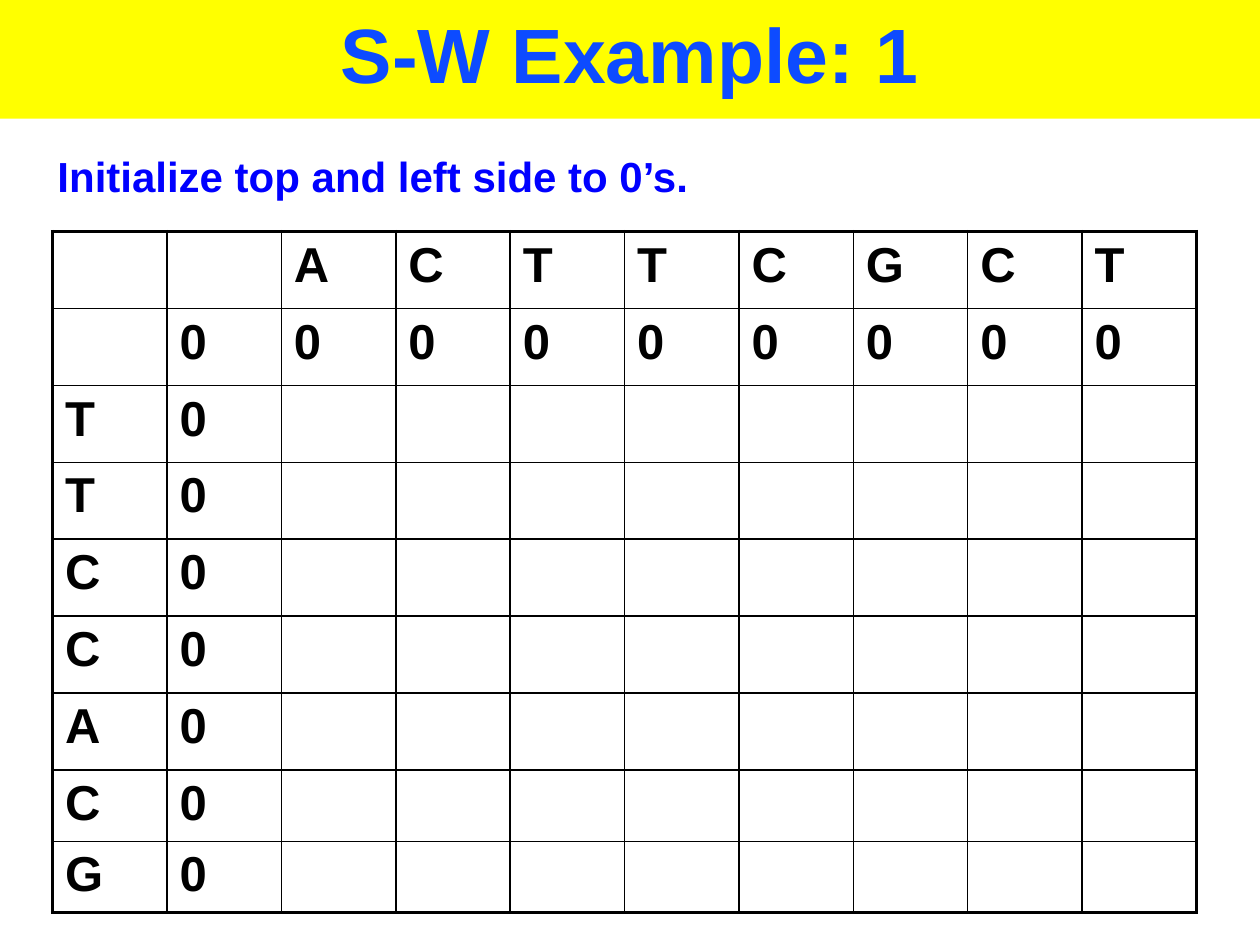
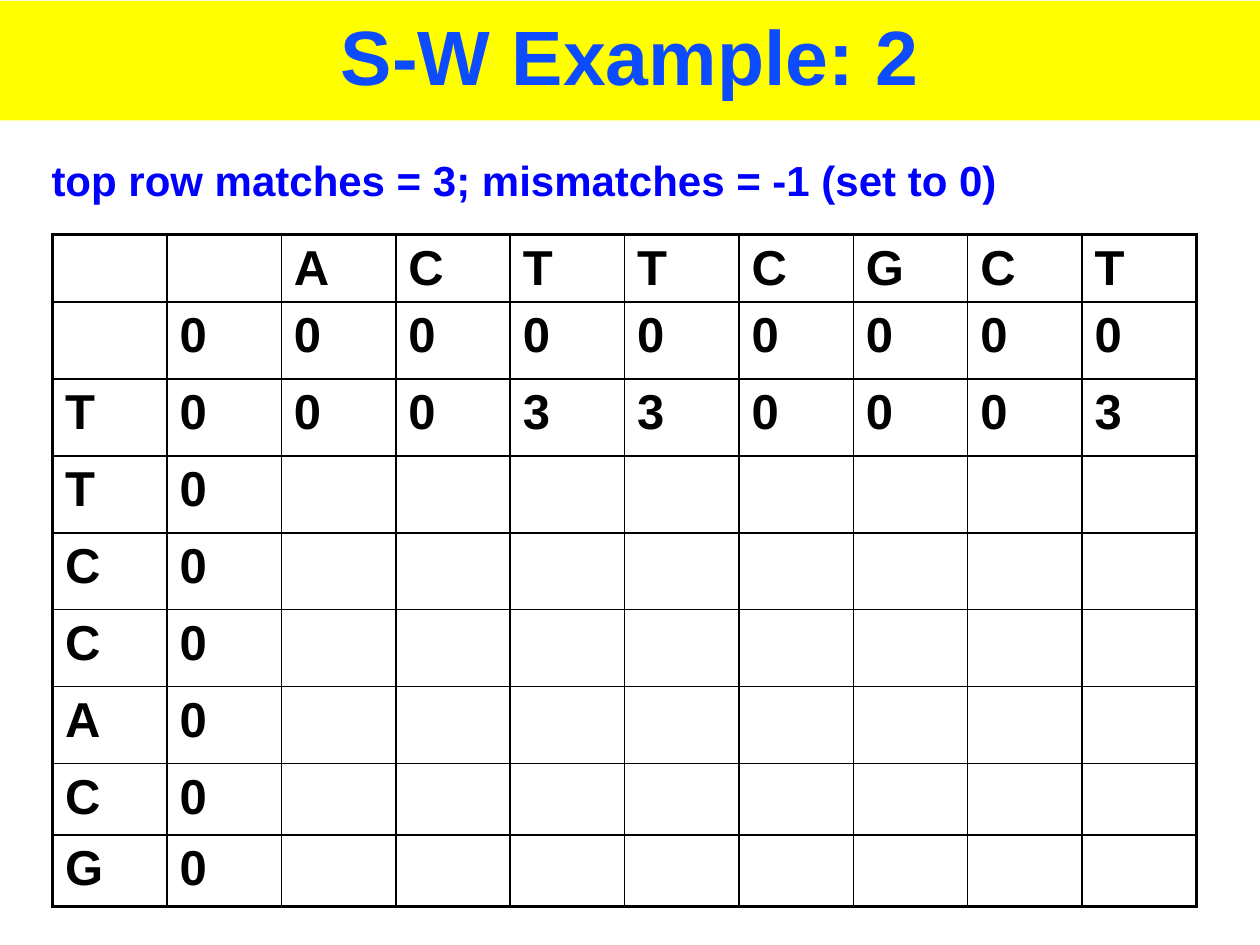
from lxml.etree import SubElement
from pptx import Presentation
from pptx.dml.color import RGBColor
from pptx.enum.text import MSO_ANCHOR as Anchor, MSO_AUTO_SIZE as AutoSize, PP_ALIGN as Align
from pptx.oxml.ns import qn
from pptx.util import Cm, Pt

# Shared look
YELLOW = RGBColor(0xFF, 0xFF, 0x00)
TITLE_BLUE = RGBColor(0x0D, 0x4B, 0xFF)
NOTE_BLUE = RGBColor(0x00, 0x00, 0xFF)
BLACK = RGBColor(0x00, 0x00, 0x00)
TITLE_FONT = {"name": "Arial", "size": Pt(44), "bold": True}
NOTE_FONT = {"name": "Arial", "size": Pt(24), "bold": True}
CELL_FONT = {"name": "Arial", "size": Pt(28), "bold": True}
OUTER_LINE, INNER_LINE = Pt(2.25), Pt(1)

# Sequences to align, and the size of their score grid
ACROSS = "ACTTCGCT"
DOWN = "TTCCACG"
GRID_LEFT, GRID_WIDTH = 1.06, 23.06
ROW_HEIGHT, LOW_ROW_HEIGHT = 1.55, 1.44

# Lengths in centimetres; scores holds the filled rows below the zero row
PAGES = [
    {"title": "S-W Example: 1", "title_top": -0.02,
     "note": "Initialize top and left side to 0’s.",
     "note_place": (0.91, 2.9, 20.96, 1.27),
     "grid_top": 4.67, "head_height": ROW_HEIGHT, "scores": []},
    {"title": "S-W Example: 2", "title_top": 0.02,
     "note": "top row matches = 3; mismatches = -1 (set to 0)",
     "note_place": (0.79, 3, 20.85, 1.27),
     "grid_top": 4.73, "head_height": 1.36, "scores": ["00330003"]},
]


def write(para, text, font, color):
    span = para.add_run()
    span.text = text
    for name, value in font.items():
        setattr(span.font, name, value)
    span.font.color.rgb = color


def add_title(page, text, top):
    title = page.shapes.title
    place = {"left": 0, "top": Cm(top), "width": Cm(25.4), "height": Cm(2.41)}
    for name, value in place.items():
        setattr(title, name, value)
    title.fill.solid()
    title.fill.fore_color.rgb = YELLOW
    frame = title.text_frame
    frame.auto_size = AutoSize.NONE
    frame.vertical_anchor = Anchor.MIDDLE
    para = frame.paragraphs[0]
    para.alignment = Align.CENTER
    para.line_spacing = 0.9
    write(para, text, TITLE_FONT, TITLE_BLUE)


def add_note(page, text, place):
    box = page.shapes.add_textbox(*map(Cm, place))
    box.text_frame.word_wrap = True
    box.text_frame.auto_size = AutoSize.SHAPE_TO_FIT_TEXT
    write(box.text_frame.paragraphs[0], text, NOTE_FONT, NOTE_BLUE)


def set_borders(cell, outer_sides):
    """Draw all four sides; outer_sides maps each side to whether it is on the rim."""
    properties = cell._tc.get_or_add_tcPr()
    for position, (side, is_outer) in enumerate(outer_sides.items()):
        width = OUTER_LINE if is_outer else INNER_LINE
        line = SubElement(properties, qn(f"a:ln{side}"), w=str(width))
        fill = SubElement(line, qn("a:solidFill"))
        SubElement(fill, qn("a:srgbClr"), val=str(BLACK))
        properties.insert(position, line)


def grid_rows(scores):
    """Header row, row of zeros, then one row for each letter down the side."""
    width = len(ACROSS)
    rows = [["", "", *ACROSS], ["", *"0" * (width + 1)]]
    for index, letter in enumerate(DOWN):
        values = scores[index] if index < len(scores) else [""] * width
        rows.append([letter, "0", *values])
    return rows


def add_grid(page, top, head_height, scores):
    rows = grid_rows(scores)
    row_count, column_count = len(rows), len(rows[0])
    heights = [head_height] + [ROW_HEIGHT] * (row_count - 3) + [LOW_ROW_HEIGHT] * 2
    table = page.shapes.add_table(row_count, column_count, Cm(GRID_LEFT), Cm(top),
                                  Cm(GRID_WIDTH), Cm(sum(heights))).table
    table.first_row = table.horz_banding = False
    for row, height in zip(table.rows, heights):
        row.height = Cm(height)
    for r, values in enumerate(rows):
        for c, value in enumerate(values):
            cell = table.cell(r, c)
            cell.fill.background()
            set_borders(cell, {"L": c == 0, "R": c == column_count - 1,
                               "T": r == 0, "B": r == row_count - 1})
            if value:
                write(cell.text_frame.paragraphs[0], value, CELL_FONT, BLACK)


def main():
    deck = Presentation()
    deck.slide_width, deck.slide_height = Cm(25.4), Cm(19.05)
    title_only = deck.slide_layouts[5]
    for content in PAGES:
        page = deck.slides.add_slide(title_only)
        add_title(page, content["title"], content["title_top"])
        add_grid(page, content["grid_top"], content["head_height"], content["scores"])
        add_note(page, content["note"], content["note_place"])
    deck.save("out.pptx")


if __name__ == "__main__":
    main()
